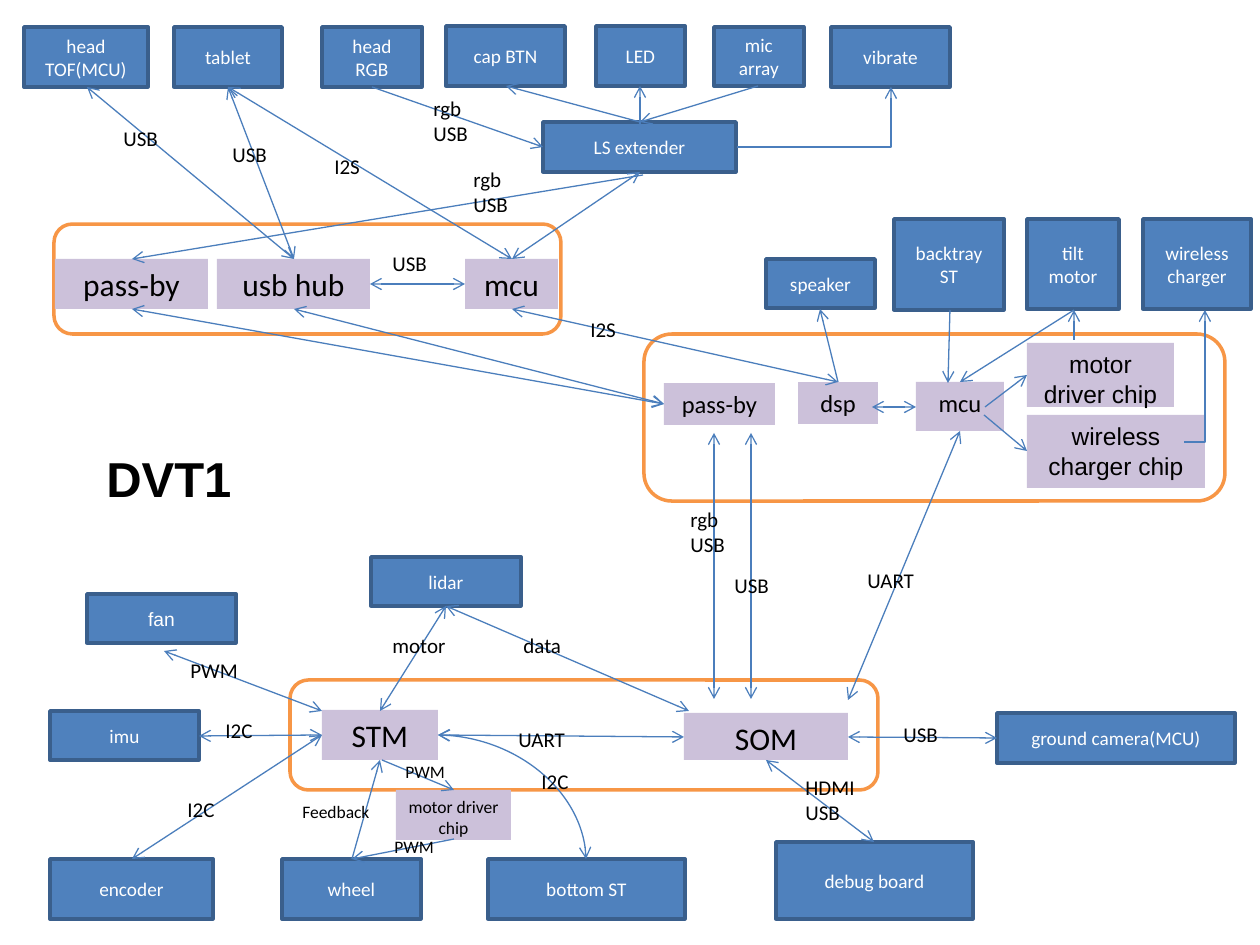
"""Draw the DVT1 board wiring diagram on one slide."""
from dataclasses import dataclass
from typing import Optional

from lxml.etree import SubElement as sub
from pptx import Presentation as Deck
from pptx.dml.color import RGBColor as Rgb
from pptx.enum.shapes import MSO_CONNECTOR as Link, MSO_SHAPE as Form
from pptx.enum.text import MSO_ANCHOR as Anchor, PP_ALIGN as Align
from pptx.oxml.ns import qn
from pptx.slide import Slide
from pptx.text.text import TextFrame as Frame
from pptx.util import Emu, Pt

SCALE = 914400 / 126


@dataclass(frozen=True)
class Theme:
    blue: str = "4F81BD"
    edge: str = "3A5F8C"
    lilac: str = "CCC1DA"
    orange: str = "F79646"
    wire: str = "4B7EBC"
    white: str = "FFFFFF"
    black: str = "000000"
    font: str = "Calibri"
    plain: str = "Arial"
    title: int = 28
    hub: int = 18
    chip: int = 14
    label: int = 12
    unit: int = 11
    small: int = 10
    rim: float = 2
    thin: float = 0.75


T = Theme()


@dataclass(frozen=True)
class Box:
    x: int
    y: int
    w: int
    h: int
    text: str = ""
    size: int = T.unit
    font: str = T.font


@dataclass(frozen=True)
class Look:
    fill: str
    edge: Optional[str] = None
    ink: str = T.black
    form: Form = Form.RECTANGLE
    anchor: Anchor = Anchor.TOP


@dataclass(frozen=True)
class Wire:
    x1: int
    y1: int
    x2: int
    y2: int
    both: bool = True
    link: Link = Link.STRAIGHT


FRAME = Look(T.white, T.orange, form=Form.FLOWCHART_ALTERNATE_PROCESS)
CHIP = Look(T.lilac)
UNIT = Look(T.blue, T.edge, T.white, anchor=Anchor.MIDDLE)

FRAMES = [Box(290, 680, 588, 110), Box(54, 224, 507, 110), Box(644, 334, 581, 167)]

CHIPS = [
    Box(55, 259, 153, 50, "pass-by", T.hub),
    Box(217, 259, 153, 50, "usb hub", T.hub),
    Box(465, 259, 93, 50, "mcu", T.hub),
    Box(664, 383, 111, 42, "pass-by", T.chip),
    Box(798, 382, 80, 42, "dsp", T.chip),
    Box(916, 382, 88, 49, "mcu", T.chip),
    Box(1027, 343, 147, 64, "motor driver chip", T.chip, T.plain),
    Box(1027, 415, 178, 73, "wireless charger chip", T.chip, T.plain),
    Box(322, 710, 116, 50, "STM", T.hub),
    Box(684, 713, 164, 47, "SOM", T.hub),
    Box(396, 790, 115, 50, "motor driver chip", T.small),
]

UNITS = [
    Box(24, 27, 124, 60, "head TOF(MCU)"),
    Box(174, 27, 108, 60, "tablet"),
    Box(322, 27, 100, 60, "head RGB"),
    Box(446, 26, 119, 60, "cap BTN"),
    Box(596, 26, 89, 60, "LED"),
    Box(714, 27, 90, 59, "mic array"),
    Box(831, 27, 119, 60, "vibrate"),
    Box(543, 122, 193, 50, "LS extender"),
    Box(766, 259, 109, 49, "speaker"),
    Box(894, 219, 110, 91, "backtray ST"),
    Box(1027, 219, 92, 90, "tilt motor"),
    Box(1143, 219, 108, 90, "wireless charger"),
    Box(371, 557, 150, 49, "lidar"),
    Box(87, 594, 149, 49, "fan", font=T.plain),
    Box(50, 711, 149, 49, "imu"),
    Box(997, 713, 238, 50, "ground camera(MCU)"),
    Box(50, 859, 163, 60, "encoder"),
    Box(282, 859, 139, 60, "wheel"),
    Box(488, 859, 197, 60, "bottom ST"),
    Box(776, 842, 197, 77, "debug board"),
]

WIRES = [
    Wire(872, 407, 916, 407),
    Wire(1074, 340, 1074, 310, False),
    Wire(1074, 310, 960, 382, False),
    Wire(1184, 442, 1205, 310, False, Link.ELBOW),
    Wire(985, 407, 1027, 375, False),
    Wire(984, 415, 1027, 451, False),
    Wire(758, 86, 640, 122, False),
    Wire(950, 310, 948, 383, False),
    Wire(838, 382, 820, 309, False),
    Wire(714, 433, 714, 699),
    Wire(751, 433, 751, 699),
    Wire(294, 309, 664, 404),
    Wire(132, 309, 664, 404),
    Wire(87, 87, 294, 259),
    Wire(228, 87, 294, 259),
    Wire(640, 172, 512, 259),
    Wire(960, 431, 848, 700),
    Wire(228, 87, 512, 259),
    Wire(512, 309, 838, 382),
    Wire(640, 124, 640, 86, False),
    Wire(640, 122, 506, 86, False),
    Wire(737, 147, 891, 87, False, Link.ELBOW),
    Wire(372, 87, 543, 147, False),
    Wire(643, 175, 132, 259, False),
    Wire(446, 606, 689, 711),
    Wire(370, 284, 465, 284),
    Wire(766, 760, 874, 842),
    Wire(438, 735, 684, 737),
    Wire(380, 711, 446, 606),
    Wire(199, 736, 322, 735),
    Wire(132, 859, 322, 735),
    Wire(848, 737, 997, 738),
    Wire(164, 651, 322, 711),
    Wire(352, 859, 380, 760, False),
    Wire(438, 735, 586, 859, True, Link.CURVE),
    Wire(382, 760, 454, 790, False),
    Wire(454, 839, 352, 859, False),
]

LABELS = [
    Box(380, 244, 74, 40, "USB", T.label),
    Box(111, 119, 74, 40, "USB", T.label),
    Box(220, 135, 74, 40, "USB", T.label),
    Box(722, 566, 74, 40, "USB", T.label),
    Box(891, 715, 74, 40, "USB", T.label),
    Box(678, 500, 74, 58, "rgb USB", T.label),
    Box(421, 89, 74, 58, "rgb USB", T.label),
    Box(461, 160, 74, 58, "rgb USB", T.label),
    Box(855, 561, 83, 40, "UART", T.label),
    Box(506, 720, 83, 40, "UART", T.label),
    Box(322, 147, 62, 40, "I2S", T.label),
    Box(578, 310, 62, 40, "I2S", T.label),
    Box(380, 626, 81, 40, "motor", T.label),
    Box(511, 626, 72, 40, "data", T.label),
    Box(178, 651, 83, 40, "PWM", T.label),
    Box(213, 711, 59, 40, "I2C", T.label),
    Box(175, 790, 59, 40, "I2C", T.label),
    Box(529, 762, 59, 40, "I2C", T.label),
    Box(393, 755, 72, 30, "PWM", T.small),
    Box(382, 830, 72, 30, "PWM", T.small),
    Box(290, 795, 103, 40, "Feedback", T.small),
    Box(793, 768, 79, 58, "HDMI\nUSB", T.label),
]

TITLE = Box(94, 442, 166, 72, "DVT1", T.title, T.plain)


def px(*nums: int) -> list[Emu]:
    """Turn pixels into EMU."""
    return [Emu(round(n * SCALE)) for n in nums]


def write(frame: Frame, box: Box, ink: str, align: Align, bold: bool = False) -> None:
    """Fill a text frame, one paragraph a line."""
    frame.word_wrap = True
    for i, line in enumerate(box.text.split("\n")):
        para = frame.add_paragraph() if i else frame.paragraphs[0]
        para.alignment = align
        run = para.add_run()
        run.text = line
        run.font.name = box.font
        run.font.size = Pt(box.size)
        run.font.bold = bold
        run.font.color.rgb = Rgb.from_string(ink)


def block(slide: Slide, box: Box, look: Look) -> None:
    """Draw a filled box with its text."""
    shape = slide.shapes.add_shape(look.form, *px(box.x, box.y, box.w, box.h))
    shape.shadow.inherit = False
    shape.fill.solid()
    shape.fill.fore_color.rgb = Rgb.from_string(look.fill)
    if look.edge:
        shape.line.color.rgb = Rgb.from_string(look.edge)
        shape.line.width = Pt(T.rim)
    else:
        shape.line.fill.background()
    if box.text:
        shape.text_frame.vertical_anchor = look.anchor
        write(shape.text_frame, box, look.ink, Align.CENTER)


def label(slide: Slide, box: Box, bold: bool = False) -> None:
    """Place free text."""
    note = slide.shapes.add_textbox(*px(box.x, box.y, box.w, box.h))
    write(note.text_frame, box, T.black, Align.LEFT, bold)


def join(slide: Slide, wire: Wire) -> None:
    """Draw a wire with its arrowheads."""
    line = slide.shapes.add_connector(wire.link, *px(wire.x1, wire.y1, wire.x2, wire.y2))
    line.line.color.rgb = Rgb.from_string(T.wire)
    line.line.width = Pt(T.thin)
    props = line._element.spPr
    bends = {Link.ELBOW: "bentConnector2", Link.CURVE: "curvedConnector2"}
    if wire.link in bends:
        props.find(qn("a:prstGeom")).set("prst", bends[wire.link])
    for end in ("a:headEnd", "a:tailEnd") if wire.both else ("a:tailEnd",):
        sub(props.find(qn("a:ln")), qn(end), type="arrow")
    sub(props, qn("a:effectLst"))


def main() -> None:
    """Build and save the deck."""
    deck = Deck()
    deck.slide_width, deck.slide_height = px(1260, 945)
    slide = deck.slides.add_slide(deck.slide_layouts[6])
    for look, group in ((FRAME, FRAMES), (CHIP, CHIPS), (UNIT, UNITS)):
        for box in group:
            block(slide, box, look)
    for wire in WIRES:
        join(slide, wire)
    for box in LABELS:
        label(slide, box)
    label(slide, TITLE, bold=True)
    deck.save("out.pptx")


main()
